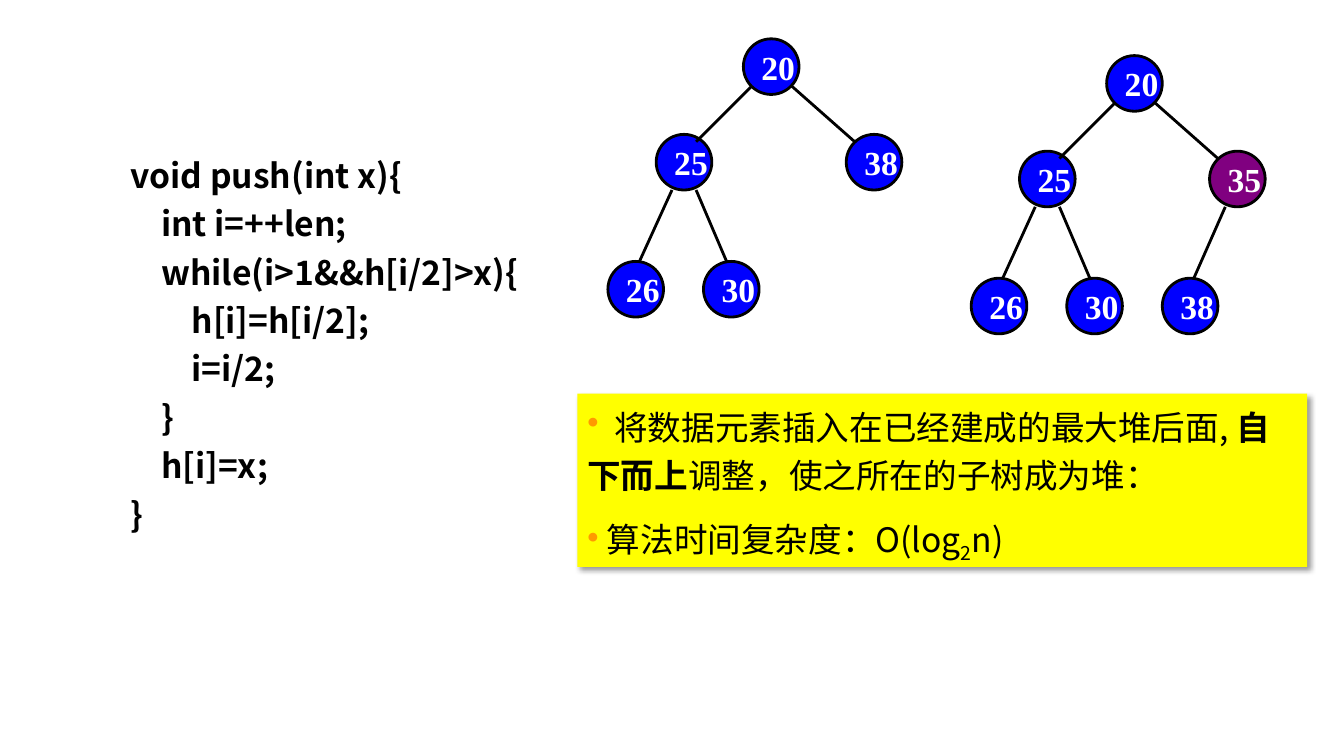
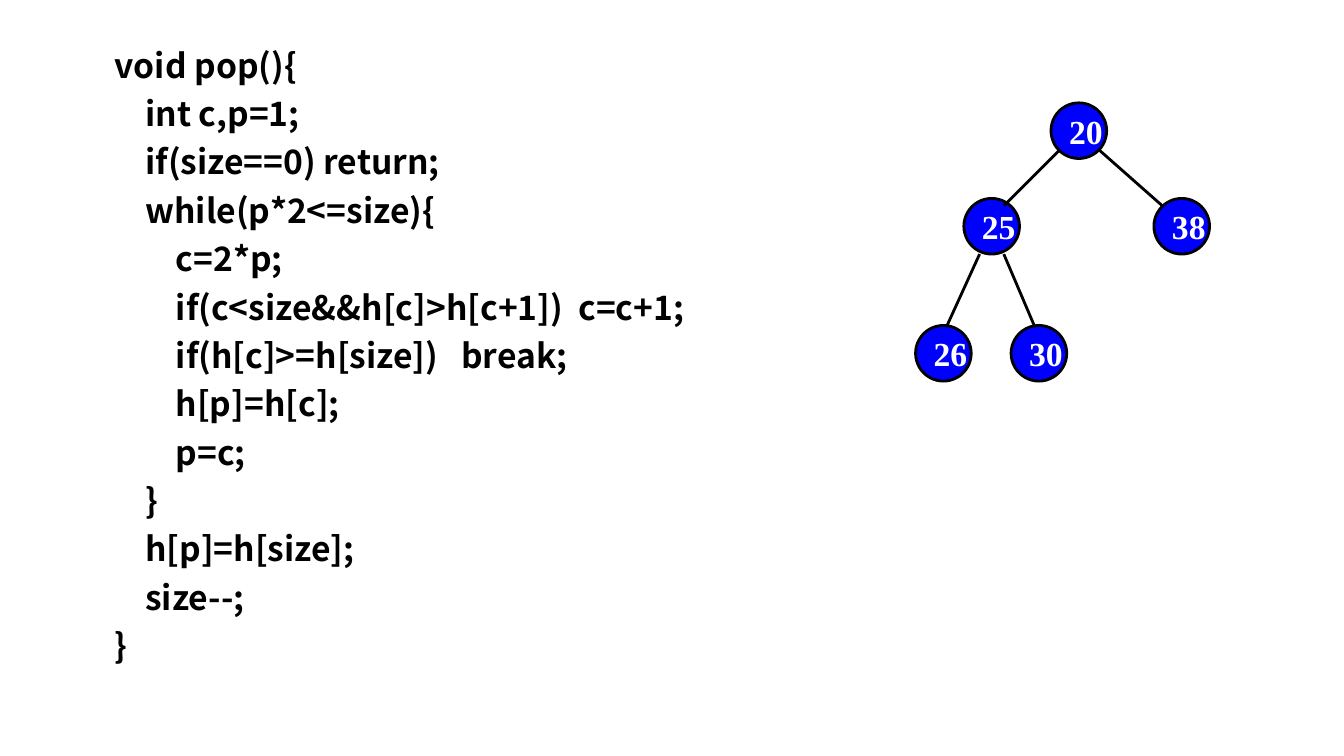
from lxml import etree
from pptx import Presentation
from pptx.dml.color import RGBColor
from pptx.enum.shapes import MSO_CONNECTOR, MSO_SHAPE
from pptx.enum.text import MSO_ANCHOR, MSO_AUTO_SIZE, PP_ALIGN
from pptx.oxml.ns import qn
from pptx.util import Emu, Pt

STRAIGHT = MSO_CONNECTOR.STRAIGHT
RECTANGLE, OVAL = MSO_SHAPE.RECTANGLE, MSO_SHAPE.OVAL
TOP, MIDDLE = MSO_ANCHOR.TOP, MSO_ANCHOR.MIDDLE
LEFT = PP_ALIGN.LEFT
GROW = MSO_AUTO_SIZE.SHAPE_TO_FIT_TEXT

BLACK = RGBColor(0x00, 0x00, 0x00)
WHITE = RGBColor(0xFF, 0xFF, 0xFF)
BLUE = RGBColor(0x00, 0x00, 0xFF)
PURPLE = RGBColor(0x80, 0x00, 0x80)
YELLOW = RGBColor(0xFF, 0xFF, 0x00)
ORANGE = RGBColor(0xFF, 0x99, 0x00)

EMU_PER_PX = 9525
BLANK_LAYOUT = 6
SUBSCRIPT = "-25000"

PUSH_CODE = """void push(int x){
    int i=++len;
    while(i>1&&h[i/2]>x){
        h[i]=h[i/2];
        i=i/2;
    }
    h[i]=x;
}"""

POP_CODE = """void pop(){
    int c,p=1;
    if(size==0) return;
    while(p*2<=size){
        c=2*p;
        if(c<size&&h[c]>h[c+1])  c=c+1;
        if(h[c]>=h[size])   break;
        h[p]=h[c];
        p=c;
    }
    h[p]=h[size];
    size--;
}"""

PUSH_NOTES = [
    [("  将数据元素插入在已经建成的最大堆后面, ", ""), ("自下而上", "bold"),
     ("调整，使之所在的子树成为堆：", "")],
    [(" 算法时间复杂度：O(log", ""), ("2", "subscript"), ("n)", "")],
]

NODE_OFFSETS = [(0, 0), (-83, 91), (98, 91), (-129, 212), (-38, 212), (53, 212)]
UPPER_EDGES = [((8, 45), (38, 7)), ((46, 45), (8, 7))]
LOWER_EDGES = [((15, 53), (30, 0)), ((38, 53), (22, 0))]


def px(length):
    """Turn pixels into EMU."""
    return Emu(length * EMU_PER_PX)


class HeapDeck:
    """Holds the shared style and the current slide."""

    body_font = "Noto Sans CJK SC"
    node_font = "Times New Roman"
    text_size = Pt(24)
    line_width = Pt(2)
    line_spacing = 1.2
    code_indent = 29
    node_size = 53

    def __init__(self):
        """Start an empty wide presentation."""
        self.presentation = Presentation()
        self.presentation.slide_width = px(1280)
        self.presentation.slide_height = px(720)
        self.slide = None

    def new_slide(self):
        """Add a blank slide and make it current."""
        layout = self.presentation.slide_layouts[BLANK_LAYOUT]
        self.slide = self.presentation.slides.add_slide(layout)

    def format_run(self, run, font_name, color, bold):
        """Give a run the shared size and the given face."""
        run.font.size = self.text_size
        run.font.bold = bold
        run.font.color.rgb = color
        run.font.name = font_name
        properties = run.font._element
        etree.SubElement(properties, qn("a:ea"), typeface=font_name)

    def code(self, left, top, width, height, source):
        """Add a code listing, indented by paragraph."""
        shape = self.slide.shapes.add_textbox(px(left), px(top), px(width), px(height))
        frame = shape.text_frame
        frame.word_wrap = True
        frame.auto_size = GROW
        frame.text = "\n".join(line.strip() for line in source.splitlines())
        for paragraph, line in zip(frame.paragraphs, source.splitlines()):
            depth = (len(line) - len(line.lstrip())) // 4
            paragraph.line_spacing = self.line_spacing
            properties = paragraph._p.get_or_add_pPr()
            properties.set("marL", str(px(depth * self.code_indent)))
            self.format_run(paragraph.runs[0], self.body_font, BLACK, True)

    def note(self, left, top, width, height, paragraphs):
        """Add a yellow note with bullets and a soft shadow."""
        shape = self.slide.shapes.add_shape(RECTANGLE, px(left), px(top), px(width), px(height))
        shape.fill.solid()
        shape.fill.fore_color.rgb = YELLOW
        shape.line.fill.background()
        self.soft_shadow(shape)
        frame = shape.text_frame
        frame.word_wrap = True
        frame.auto_size = GROW
        frame.vertical_anchor = TOP
        for index, parts in enumerate(paragraphs):
            paragraph = frame.add_paragraph() if index else frame.paragraphs[0]
            paragraph.alignment = LEFT
            paragraph.line_spacing = self.line_spacing
            paragraph.space_before = Pt(10 if index else 0)
            self.bullet(paragraph)
            for text, style in parts:
                run = paragraph.add_run()
                run.text = text
                self.format_run(run, self.body_font, BLACK, style == "bold")
                if style == "subscript":
                    run.font._element.set("baseline", SUBSCRIPT)

    def soft_shadow(self, shape):
        """Cast a shadow to the lower right."""
        shape.shadow.inherit = False
        effects = shape.element.spPr.find(qn("a:effectLst"))
        shadow = etree.SubElement(effects, qn("a:outerShdw"), blurRad=str(Pt(4)),
                                  dist=str(Pt(3)), dir="2700000", algn="tl", rotWithShape="0")
        color = etree.SubElement(shadow, qn("a:srgbClr"), val=str(BLACK))
        etree.SubElement(color, qn("a:alpha"), val="40000")

    def bullet(self, paragraph):
        """Put an orange bullet before a paragraph."""
        properties = paragraph._p.get_or_add_pPr()
        color = etree.SubElement(properties, qn("a:buClr"))
        etree.SubElement(color, qn("a:srgbClr"), val=str(ORANGE))
        etree.SubElement(properties, qn("a:buChar"), char="•")

    def node(self, group, left, top, label, color):
        """Add one labelled tree node."""
        size = px(self.node_size)
        shape = group.shapes.add_shape(OVAL, px(left), px(top), size, size)
        shape.shadow.inherit = False
        shape.fill.solid()
        shape.fill.fore_color.rgb = color
        shape.line.color.rgb = BLACK
        shape.line.width = self.line_width
        frame = shape.text_frame
        frame.word_wrap = False
        frame.vertical_anchor = MIDDLE
        frame.text = label
        paragraph = frame.paragraphs[0]
        paragraph.alignment = LEFT
        self.format_run(paragraph.runs[0], self.node_font, WHITE, True)

    def edge(self, group, start, end):
        """Add one line between two points."""
        connector = group.shapes.add_connector(STRAIGHT, *map(px, start + end))
        connector.line.color.rgb = BLACK
        connector.line.width = self.line_width
        etree.SubElement(connector.element.spPr, qn("a:effectLst"))

    def tree(self, left, top, labels, inserted=None):
        """Add a heap whose labels are in level order."""
        group = self.slide.shapes.add_group_shape()
        corners = [(left + x, top + y) for x, y in NODE_OFFSETS]
        for label, corner in zip(labels, corners):
            self.node(group, *corner, label, PURPLE if label == inserted else BLUE)
        for child in range(1, len(labels)):
            parent = (child - 1) // 2
            edges = LOWER_EDGES if parent else UPPER_EDGES
            ends = edges[(child - 1) % 2]
            points = [(corners[index][0] + x, corners[index][1] + y)
                      for index, (x, y) in zip((parent, child), ends)]
            self.edge(group, *points)


def main():
    """Build and save both slides."""
    deck = HeapDeck()
    heap = ["20", "25", "38", "26", "30"]

    deck.new_slide()
    deck.code(115, 135, 450, 382, PUSH_CODE)
    deck.note(550, 375, 695, 165, PUSH_NOTES)
    deck.tree(1054, 53, ["20", "25", "35", "26", "30", "38"], inserted="35")
    deck.tree(708, 37, heap)

    deck.new_slide()
    deck.code(100, 30, 690, 614, POP_CODE)
    deck.tree(1001, 98, heap)

    deck.presentation.save("out.pptx")


if __name__ == "__main__":
    main()
